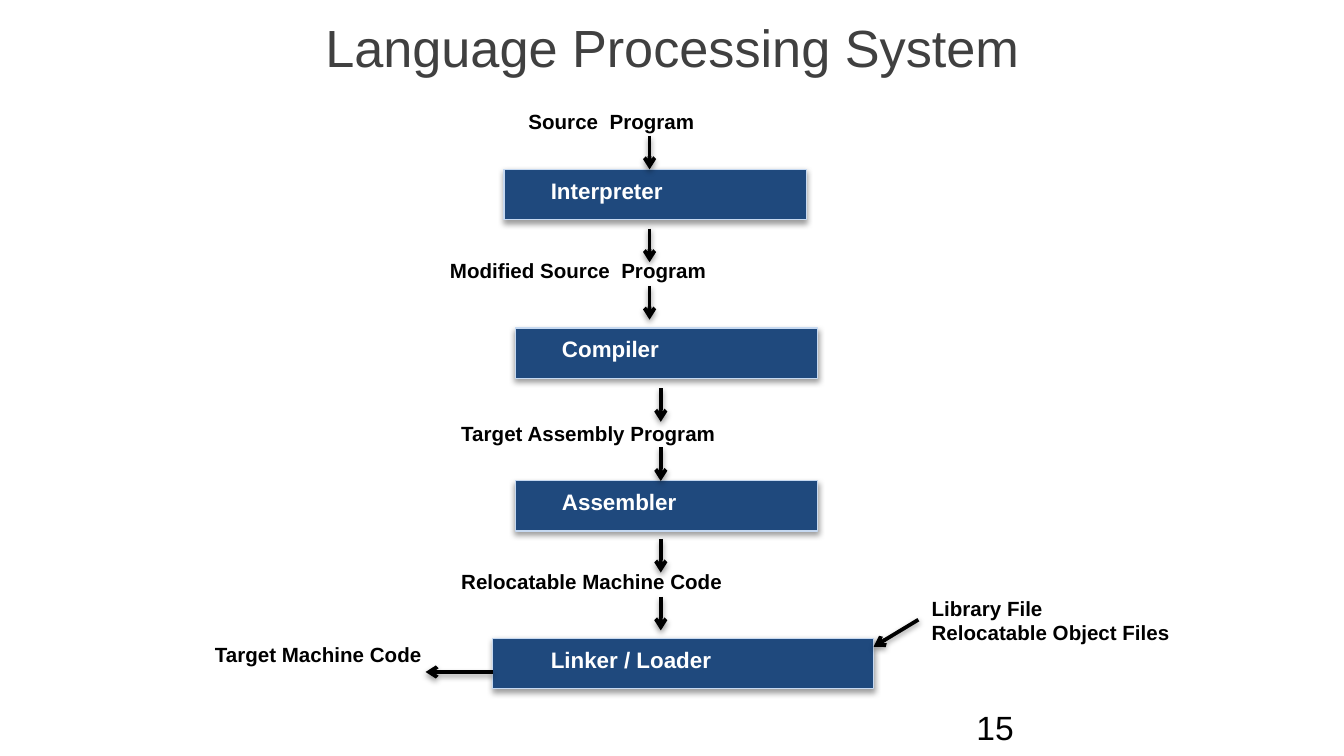
from lxml import etree
from pptx import Presentation
from pptx.dml.color import RGBColor
from pptx.enum.shapes import MSO_CONNECTOR, MSO_SHAPE
from pptx.enum.text import MSO_ANCHOR, PP_ALIGN
from pptx.oxml.ns import qn
from pptx.util import Pt

RECTANGLE = MSO_SHAPE.RECTANGLE
STRAIGHT = MSO_CONNECTOR.STRAIGHT
CENTER = PP_ALIGN.CENTER
MIDDLE = MSO_ANCHOR.MIDDLE

# Content, all lengths in points
COLORS = {"title": "404040", "ink": "000000", "label": "FFFFFF",
          "stage": "1F497D", "edge": "C6D9F1"}
TITLE = "Language Processing System"
STAGES = [  # name, left, top, width, label left
    ("Interpreter", 270, 90.75, 162, 288),
    ("Compiler", 276, 175.75, 162, 294),
    ("Assembler", 276, 257.5, 162, 294),
    ("Linker / Loader", 264, 342, 204, 288),
]
ARTIFACTS = [  # text, left, top, width, height
    ("Source  Program", 276, 54.75, 168, 21),
    ("Modified Source  Program", 234, 134.75, 246, 21),
    ("Target Assembly Program", 240, 221.75, 234, 21),
    ("Relocatable Machine Code", 240, 301, 246, 21),
    ("Target Machine Code", 108, 340.5, 192, 21),
    ("Library File\vRelocatable Object Files", 492, 315.5, 228, 34),
]
FLOW = [(348, (72.75, 122.5, 153.25)),  # x, arrow tops
        (354, (208, 239.75, 288.75, 319.75))]
FLOW_LENGTH = 18
SIDE_ARROWS = [(264, 360, 228, 360), (492, 332, 468, 346.5)]
PAGE_NUMBER = "15"
STAGE_HEIGHT = 27

ARTIFACT_FONT = {"size": Pt(11), "bold": True}
STAGE_FONT = {"size": Pt(12), "bold": True}
NUMBER_FONT = {"size": Pt(18)}
TITLE_FONT = {"size": Pt(28)}


def color(name):
    return RGBColor.from_string(COLORS[name])


def write(frame, text, font, ink):
    para = frame.paragraphs[0]
    para.text = text
    for span in para.runs:
        for key, value in {"name": "Arial", **font}.items():
            setattr(span.font, key, value)
        span.font.color.rgb = color(ink)
    return para


def add_text(text, left, top, width, height, font, ink="ink"):
    box = page.shapes.add_textbox(Pt(left), Pt(top), Pt(width), Pt(height))
    box.text_frame.word_wrap = True
    write(box.text_frame, text, font, ink)


def add_shadow(shape):
    effects = etree.SubElement(shape._element.spPr, qn("a:effectLst"))
    shadow = etree.SubElement(effects, qn("a:outerShdw"), blurRad=str(Pt(3.1)),
                              dist=str(Pt(1.6)), dir="5400000", rotWithShape="0")
    tint = etree.SubElement(shadow, qn("a:srgbClr"), val=COLORS["ink"])
    etree.SubElement(tint, qn("a:alpha"), val="38000")


def add_arrow(*ends):
    arrow = page.shapes.add_connector(STRAIGHT, *map(Pt, ends))
    arrow.line.color.rgb = color("ink")
    arrow.line.width = Pt(2)
    etree.SubElement(arrow.line._get_or_add_ln(), qn("a:tailEnd"), type="arrow")
    add_shadow(arrow)


deck = Presentation()
deck.slide_width, deck.slide_height = Pt(720), Pt(405)
page = deck.slides.add_slide(deck.slide_layouts[5])

# Title
title = page.shapes.title
title.left, title.top, title.width, title.height = Pt(36), Pt(0), Pt(648), Pt(49.5)
title.text_frame.vertical_anchor = MIDDLE
write(title.text_frame, TITLE, TITLE_FONT, "title").alignment = CENTER

# Processing stages
for name, left, top, width, label_left in STAGES:
    stage = page.shapes.add_shape(RECTANGLE, Pt(left), Pt(top), Pt(width), Pt(STAGE_HEIGHT))
    stage.fill.solid()
    stage.fill.fore_color.rgb = color("stage")
    stage.line.color.rgb = color("edge")
    stage.line.width = Pt(0.75)
    add_shadow(stage)
    add_text(name, label_left, top + 0.5, width - 24, 21.75, STAGE_FONT, "label")

# Arrows down the flow and at the sides
for x, tops in FLOW:
    for top in tops:
        add_arrow(x, top, x, top + FLOW_LENGTH)
for ends in SIDE_ARROWS:
    add_arrow(*ends)

# Programs and files passed between stages
for artifact in ARTIFACTS:
    add_text(*artifact, ARTIFACT_FONT)

# Page number
add_text(PAGE_NUMBER, 516, 375, 168, 21.75, NUMBER_FONT)

deck.save("out.pptx")
